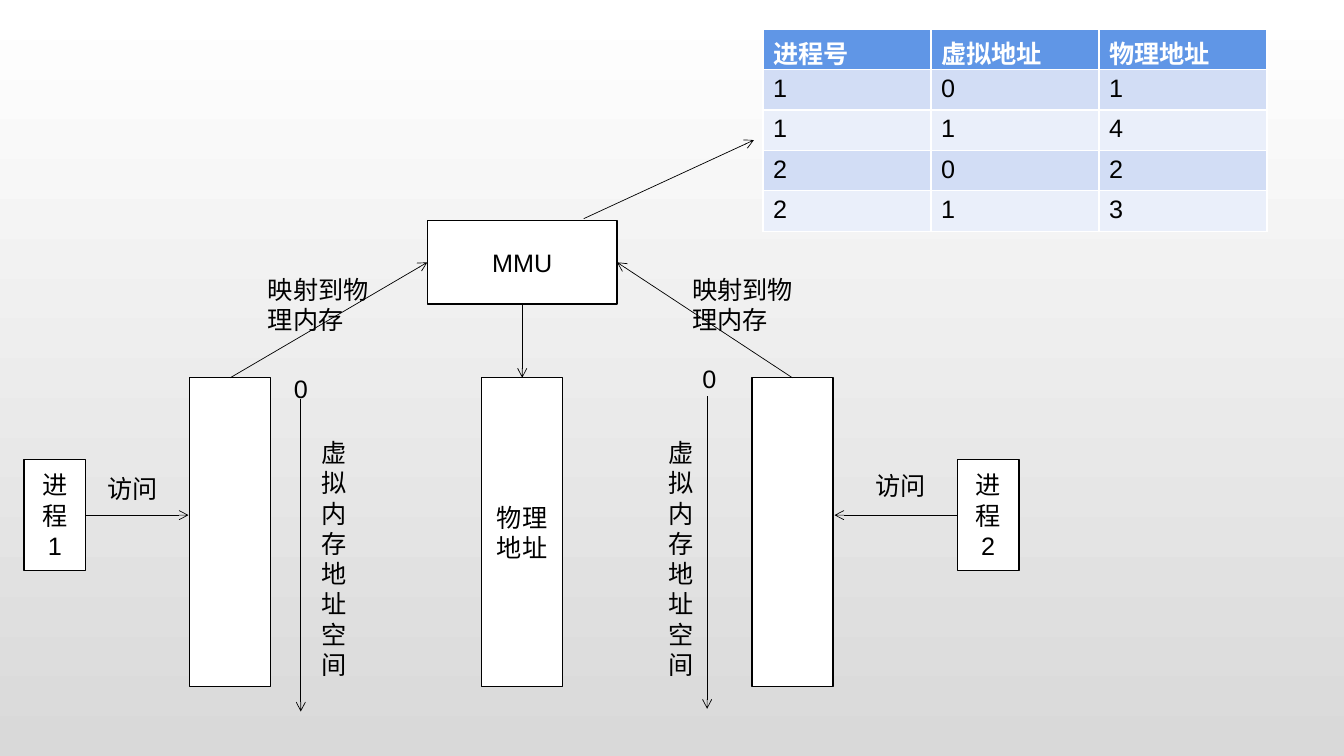
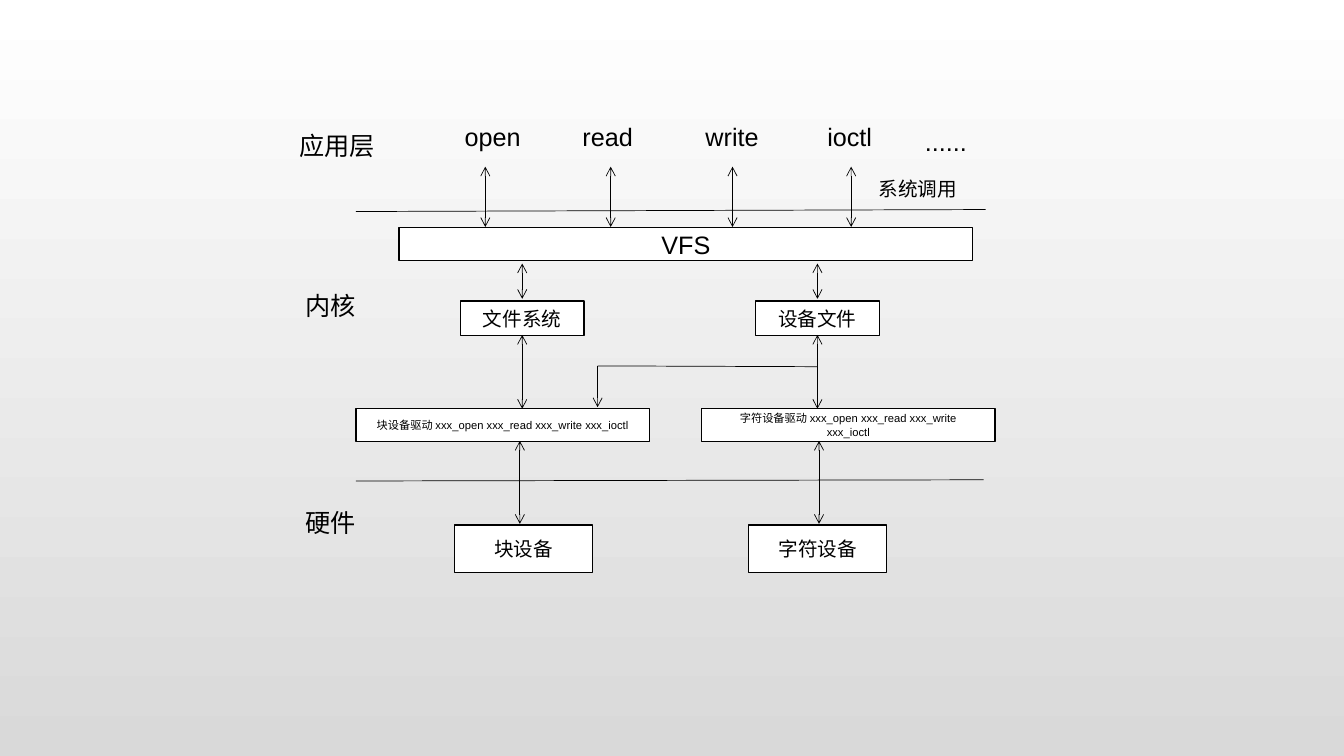
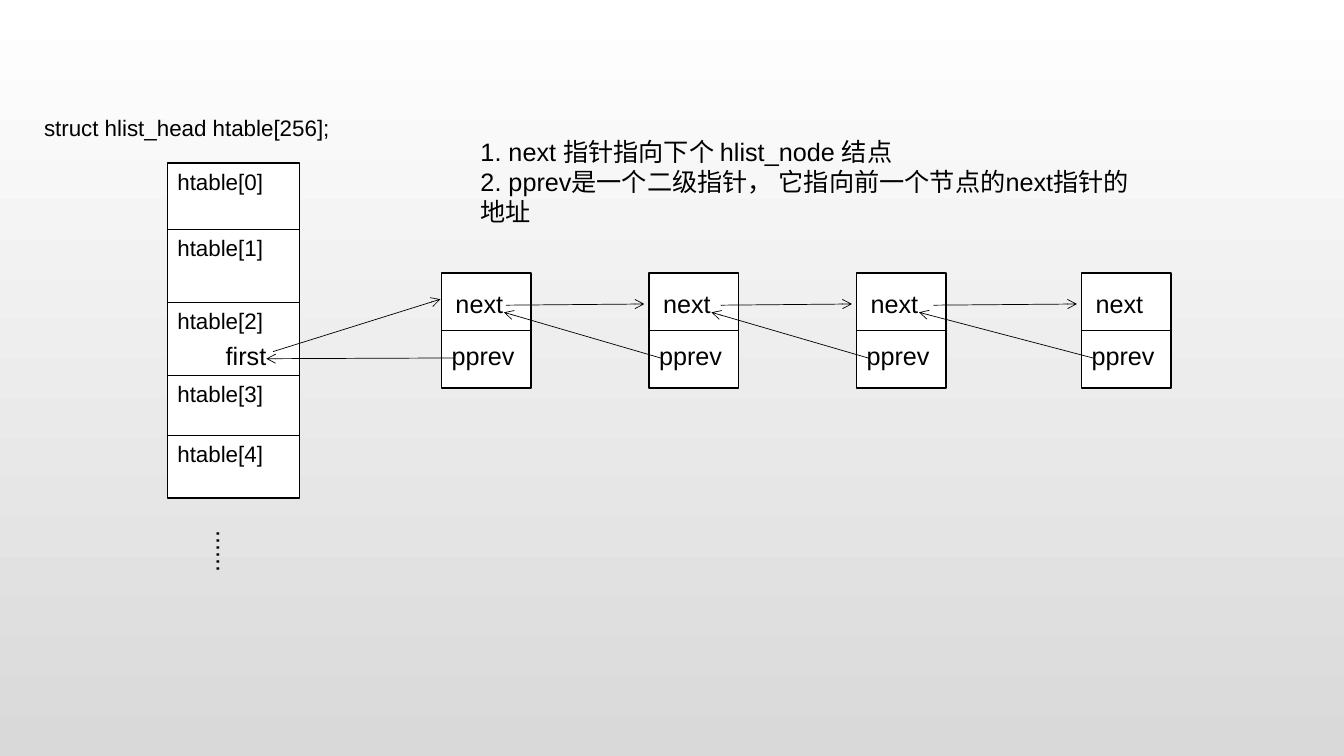
from dataclasses import dataclass
from itertools import pairwise

from lxml.etree import SubElement
from pptx import Presentation
from pptx.dml.color import RGBColor
from pptx.enum.shapes import MSO_CONNECTOR, MSO_SHAPE
from pptx.enum.text import MSO_ANCHOR, PP_ALIGN
from pptx.oxml.ns import qn
from pptx.util import Cm, Pt


@dataclass(frozen=True)
class Theme:
    font: str = "Arial"
    ink: RGBColor = RGBColor(0x00, 0x00, 0x00)
    paper: RGBColor = RGBColor(0xFF, 0xFF, 0xFF)
    shade: RGBColor = RGBColor(0xD9, 0xD9, 0xD9)
    header: RGBColor = RGBColor(0x60, 0x96, 0xE6)
    bands: tuple = (RGBColor(0xD2, 0xDD, 0xF5), RGBColor(0xEA, 0xEF, 0xFA))
    body: Pt = Pt(18)
    code: Pt = Pt(16)
    small: Pt = Pt(14)
    tiny: Pt = Pt(8)
    outline: Pt = Pt(1)
    hairline: Pt = Pt(0.5)


THEME = Theme()


def put_text(slide, text, left, top, width, height, size=THEME.body, boxed=False):
    """Add a plain label, or a white outlined box with centred text."""
    frame = Cm(left), Cm(top), Cm(width), Cm(height)
    if boxed:
        shape = slide.shapes.add_shape(MSO_SHAPE.RECTANGLE, *frame)
        shape.shadow.inherit = False
        shape.fill.solid()
        shape.fill.fore_color.rgb = THEME.paper
        shape.line.color.rgb = THEME.ink
        shape.line.width = THEME.outline
        shape.text_frame.vertical_anchor = MSO_ANCHOR.MIDDLE
    else:
        shape = slide.shapes.add_textbox(*frame)
    shape.text_frame.word_wrap = True
    shape.text_frame.text = text
    for paragraph in shape.text_frame.paragraphs:
        paragraph.alignment = PP_ALIGN.CENTER if boxed else PP_ALIGN.LEFT
        for run in paragraph.runs:
            run.font.name = THEME.font
            run.font.size = size
            run.font.color.rgb = THEME.ink
    return shape


def put_line(slide, start, end, arrows=()):
    """Add a hairline; arrows may hold "headEnd" (at start) and "tailEnd" (at end)."""
    line = slide.shapes.add_connector(
        MSO_CONNECTOR.STRAIGHT, *(Cm(value) for value in (*start, *end)))
    line.line.color.rgb = THEME.ink
    line.line.width = THEME.hairline
    for arrow in arrows:
        SubElement(line.line._get_or_add_ln(), qn(f"a:{arrow}"), type="arrow")
    SubElement(line.element.spPr, qn("a:effectLst"))


FORWARD = ("tailEnd",)
BOTH = ("headEnd", "tailEnd")

prs = Presentation()
prs.slide_width, prs.slide_height = Cm(33.87), Cm(19.05)
backdrop = prs.slide_master.background.fill
backdrop.gradient()
backdrop.gradient_angle = 270
for stop, colour in zip(backdrop.gradient_stops, (THEME.paper, THEME.shade)):
    stop.color.rgb = colour
blank = prs.slide_layouts[6]

# Address translation
mmu_slide = prs.slides.add_slide(blank)
SPACE_TOP, SPACE_WIDTH, SPACE_HEIGHT = 9.52, 2.04, 7.78
MMU_LEFT, MMU_TOP, MMU_WIDTH, MMU_HEIGHT = 10.77, 5.56, 4.78, 2.1
mmu_right = MMU_LEFT + MMU_WIDTH
mmu_centre = MMU_LEFT + MMU_WIDTH / 2
mmu_middle = MMU_TOP + MMU_HEIGHT / 2

processes = [
    # number, process, space, zero (left, top), axis (x, top, bottom), space label,
    # access label (left, top), access arrow (from, to), mapping label, MMU side
    ("1", 0.61, 4.78, (7.16, 9.27), (7.58, 10.06, 17.93), 7.85,
     (2.46, 11.79), (2.16, 4.75), 6.5, MMU_LEFT),
    ("2", 24.13, 18.95, (17.45, 9.04), (17.82, 9.98, 17.86), 16.59,
     (21.82, 11.73), (24.13, 21.03), 17.2, mmu_right),
]
for (number, process, space, zero, axis, space_label,
     access, access_arrow, mapping, mmu_side) in processes:
    put_text(mmu_slide, f"进程\n{number}", process, 11.58, 1.55, 2.8, boxed=True)
    put_text(mmu_slide, "", space, SPACE_TOP, SPACE_WIDTH, SPACE_HEIGHT, boxed=True)
    axis_x, axis_top, axis_bottom = axis
    put_line(mmu_slide, (axis_x, axis_top), (axis_x, axis_bottom), FORWARD)
    put_text(mmu_slide, "0", *zero, 0.54, 1.02)
    put_text(mmu_slide, "虚拟内存地址空间", space_label, 10.9, 1.24, 6.4)
    put_text(mmu_slide, "访问", *access, 2.03, 1.02)
    put_text(mmu_slide, "映射到物理内存", mapping, 6.78, 3.07, 1.8)
    access_from, access_to = access_arrow
    put_line(mmu_slide, (access_from, 12.98), (access_to, 12.98), FORWARD)
    put_line(mmu_slide, (space + SPACE_WIDTH / 2, SPACE_TOP),
             (mmu_side, mmu_middle), FORWARD)

put_text(mmu_slide, "MMU", MMU_LEFT, MMU_TOP, MMU_WIDTH, MMU_HEIGHT, boxed=True)
put_text(mmu_slide, "物理地址", mmu_centre - SPACE_WIDTH / 2, SPACE_TOP,
         SPACE_WIDTH, SPACE_HEIGHT, boxed=True)
put_line(mmu_slide, (mmu_centre, MMU_TOP + MMU_HEIGHT), (mmu_centre, SPACE_TOP), FORWARD)
put_line(mmu_slide, (14.71, 5.51), (19, 3.53), FORWARD)

mappings = [
    ("进程号", "虚拟地址", "物理地址"),
    ("1", "0", "1"),
    ("1", "1", "4"),
    ("2", "0", "2"),
    ("2", "1", "3"),
]
page_table = mmu_slide.shapes.add_table(
    len(mappings), 3, Cm(19.23), Cm(0.74), Cm(12.7), Cm(5.08)).table
for row, mapping_row in enumerate(mappings):
    for column, value in enumerate(mapping_row):
        cell = page_table.cell(row, column)
        cell.fill.solid()
        cell.fill.fore_color.rgb = THEME.bands[(row - 1) % 2] if row else THEME.header
        cell.text_frame.text = value
        font = cell.text_frame.paragraphs[0].runs[0].font
        font.name, font.size, font.bold = THEME.font, THEME.body, row == 0
        font.color.rgb = THEME.ink if row else THEME.paper

# Virtual file system layers
vfs_slide = prs.slides.add_slide(blank)
put_line(vfs_slide, (8.97, 5.33), (24.84, 5.28))
put_line(vfs_slide, (8.97, 12.12), (24.79, 12.09))
for layer, left, top in [("应用层", 7.29, 3.15), ("内核", 7.44, 7.19), ("硬件", 7.44, 12.65)]:
    put_text(vfs_slide, layer, left, top, 2.62, 1.04)

put_text(vfs_slide, "VFS", 10.06, 5.74, 14.45, 0.82, boxed=True)
for call, left, arrow_x in [("open", 11.46, 12.23), ("read", 14.43, 15.39),
                            ("write", 17.53, 18.46), ("ioctl", 20.6, 21.45)]:
    put_text(vfs_slide, call, left, 2.92, 2.08, 1.02)
    put_line(vfs_slide, (arrow_x, 5.72), (arrow_x, 4.2), BOTH)
put_text(vfs_slide, "......", 23.06, 3.07, 3.07, 1.02)
put_text(vfs_slide, "系统调用", 21.89, 4.34, 3.33, 0.86, THEME.small)

device_stacks = [
    # axis, file layer, driver, driver left, device, device left, device axis
    (13.16, "文件系统", "块设备驱动 xxx_open xxx_read xxx_write xxx_ioctl", 8.97,
     "块设备", 11.46, 13.1),
    (20.6, "设备文件", "字符设备驱动 xxx_open xxx_read xxx_write\vxxx_ioctl", 17.68,
     "字符设备", 18.87, 20.64),
]
for axis, file_layer, driver, driver_left, device, device_left, device_axis in device_stacks:
    put_text(vfs_slide, file_layer, axis - 1.56, 7.59, 3.12, 0.86, THEME.small, boxed=True)
    put_text(vfs_slide, driver, driver_left, 10.3, 7.4, 0.82, THEME.tiny, boxed=True)
    put_text(vfs_slide, device, device_left, 13.23, 3.48, 1.2, THEME.small, boxed=True)
    for x, bottom, top in [(axis, 7.53, 6.64), (axis, 10.3, 8.44), (device_axis, 13.2, 11.11)]:
        put_line(vfs_slide, (x, bottom), (x, top), BOTH)
put_line(vfs_slide, (20.6, 9.24), (15.06, 9.22))
put_line(vfs_slide, (15.06, 9.22), (15.06, 10.26), FORWARD)

# Hash table with linked nodes
hash_slide = prs.slides.add_slide(blank)
put_text(hash_slide, "struct hlist_head htable[256];", 0.86, 2.74, 8, 0.94, THEME.code)
BUCKET_LEFT, BUCKET_WIDTH = 4.22, 3.33
bucket_tops = [4.11, 5.77, 7.62, 9.46, 10.97]
put_text(hash_slide, "", BUCKET_LEFT, bucket_tops[0], BUCKET_WIDTH, 8.44, boxed=True)
for index, top in enumerate(bucket_tops):
    put_text(hash_slide, f"htable[{index}]", BUCKET_LEFT, top, 2.69, 0.94, THEME.code)
    if index:
        put_line(hash_slide, (BUCKET_LEFT, top), (BUCKET_LEFT + BUCKET_WIDTH, top))
put_text(hash_slide, "first", 5.44, 8.46, 2.11, 1.02)
more_buckets = put_text(hash_slide, "......", 4.98, 13.13, 1.24, 1.83)
more_buckets.element.txBody.bodyPr.set("vert", "eaVert")

NODE_TOP, NODE_WIDTH, NODE_HEIGHT = 6.88, 2.25, 2.9
node_lefts = [11.13, 16.36, 21.59, 27.26]
for left in node_lefts:
    put_text(hash_slide, "", left, NODE_TOP, NODE_WIDTH, NODE_HEIGHT, boxed=True)
    divider = NODE_TOP + NODE_HEIGHT / 2
    put_line(hash_slide, (left, divider), (left + NODE_WIDTH, divider))
    put_text(hash_slide, "next", left + 0.1, 7.14, 2.51, 1.02)
    put_text(hash_slide, "pprev", left, 8.46, 2.51, 1.02)

put_line(hash_slide, (6.88, 8.86), (11.1, 7.54), FORWARD)
put_line(hash_slide, (11.48, 9.02), (6.71, 9.04), FORWARD)
next_offsets = [1.62, 1.8, 1.93]
for (node, following), offset in zip(pairwise(node_lefts), next_offsets):
    put_line(hash_slide, (node + offset, 7.69), (following - 0.12, 7.66), FORWARD)
    put_line(hash_slide, (following + 0.32, 9.03), (node + 1.57, 7.87), FORWARD)

put_text(hash_slide,
         "1. next 指针指向下个 hlist_node 结点\n"
         "2. pprev是一个二级指针， 它指向前一个节点的next指针的地址",
         11.86, 3.3, 16.94, 2.57)

prs.save("out.pptx")
